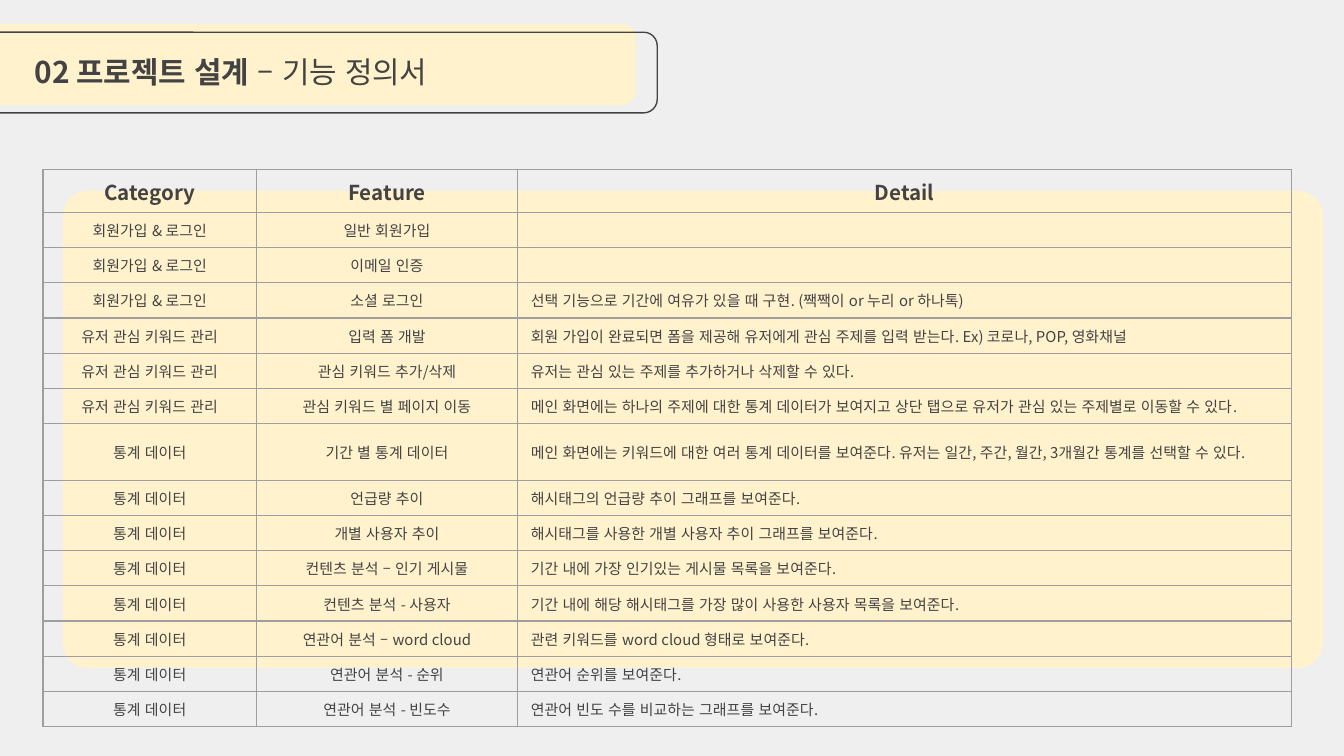
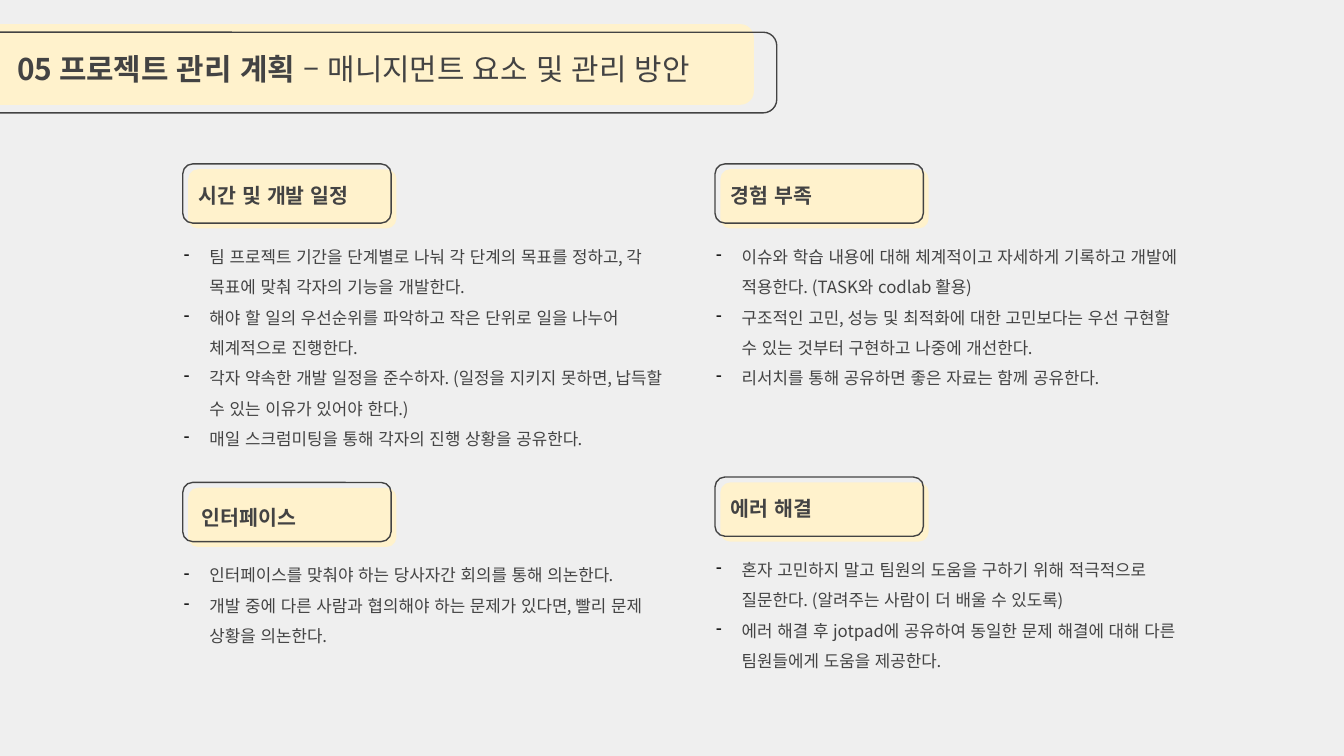
"""Build two project slides: a feature table and a management plan."""
from dataclasses import dataclass

from lxml import etree
from pptx import Presentation
from pptx.dml.color import RGBColor
from pptx.enum.lang import MSO_LANGUAGE_ID
from pptx.enum.shapes import MSO_SHAPE
from pptx.enum.text import MSO_ANCHOR, PP_ALIGN
from pptx.oxml.ns import qn
from pptx.util import Inches, Pt

ROUNDED = MSO_SHAPE.ROUNDED_RECTANGLE
TOP, MIDDLE, BOTTOM = MSO_ANCHOR.TOP, MSO_ANCHOR.MIDDLE, MSO_ANCHOR.BOTTOM
LEFT, CENTER = PP_ALIGN.LEFT, PP_ALIGN.CENTER
KOREAN = MSO_LANGUAGE_ID.KOREAN


@dataclass(frozen=True)
class Theme:
    """Colours, font and type sizes shared by the slides."""
    page: str = "EFEFEF"
    cream: str = "FFF2CC"
    ink: str = "434343"
    grid: str = "9E9E9E"
    bullet: str = "000000"
    font: str = "Noto Sans CJK KR"
    title: float = 16
    heading: float = 11
    body: float = 9
    cell: float = 8
    stroke: float = 0.75


@dataclass(frozen=True)
class Box:
    """A place on the slide, in inches."""
    left: float
    top: float
    width: float
    height: float


@dataclass(frozen=True)
class Title:
    """A slide title and the lengths that differ between slides."""
    strong: str
    light: str
    band_width: float
    frame_left: float
    text: Box


@dataclass(frozen=True)
class Card:
    """A framed heading with a bulleted list below it."""
    left: float
    top: float
    heading: str
    items: tuple[str, ...]
    body_width: float = 3.69
    body_height: float = 1.46
    label_shift: float = 0


THEME = Theme()

FEATURE_TITLE = Title("02 프로젝트 설계 ", "– 기능 정의서", 5.12, -0.23,
                      Box(0.16, 0.35, 5.83, 0.53))
PLAN_TITLE = Title("05 프로젝트 관리 계획", " – 매니지먼트 요소 및 관리 방안", 6, -0.22,
                   Box(0.03, 0.33, 6.3, 0.43))

HEADERS = ("Category", "Feature", "Detail")
COLUMN_WIDTHS = (1.59, 1.94, 5.76)
HEADER_HEIGHT = 0.32
TALL_HEIGHT = 0.42
TALL_FEATURE = "기간 별 통계 데이터"
FEATURES = {
    "회원가입 & 로그인": (
        ("일반 회원가입", ""),
        ("이메일 인증", ""),
        ("소셜 로그인", "선택 기능으로 기간에 여유가 있을 때 구현. (짹짹이 or 누리 or 하나톡)"),
    ),
    "유저 관심 키워드 관리": (
        ("입력 폼 개발",
         "회원 가입이 완료되면 폼을 제공해 유저에게 관심 주제를 입력 받는다. Ex) 코로나, POP, 영화채널"),
        ("관심 키워드 추가/삭제", "유저는 관심 있는 주제를 추가하거나 삭제할 수 있다."),
        ("관심 키워드 별 페이지 이동",
         "메인 화면에는 하나의 주제에 대한 통계 데이터가 보여지고 상단 탭으로 "
         "유저가 관심 있는 주제별로 이동할 수 있다."),
    ),
    "통계 데이터": (
        (TALL_FEATURE,
         "메인 화면에는 키워드에 대한 여러 통계 데이터를 보여준다. "
         "유저는 일간, 주간, 월간, 3개월간 통계를 선택할 수 있다."),
        ("언급량 추이", "해시태그의 언급량 추이 그래프를 보여준다."),
        ("개별 사용자 추이", "해시태그를 사용한 개별 사용자 추이 그래프를 보여준다."),
        ("컨텐츠 분석 – 인기 게시물", "기간 내에 가장 인기있는 게시물 목록을 보여준다."),
        ("컨텐츠 분석 - 사용자", "기간 내에 해당 해시태그를 가장 많이 사용한 사용자 목록을 보여준다."),
        ("연관어 분석 – word cloud", "관련 키워드를 word cloud 형태로 보여준다."),
        ("연관어 분석 - 순위", "연관어 순위를 보여준다."),
        ("연관어 분석 - 빈도수", "연관어 빈도 수를 비교하는 그래프를 보여준다."),
    ),
}

CARDS = (
    Card(1.36, 1.22, "시간 및 개발 일정", (
        "팀 프로젝트 기간을 단계별로 나눠 각 단계의 목표를 정하고, 각 목표에 맞춰 각자의 기능을 개발한다.",
        "해야 할 일의 우선순위를 파악하고 작은 단위로 일을 나누어 체계적으로 진행한다.",
        "각자 약속한 개발 일정을 준수하자. (일정을 지키지 못하면, 납득할 수 있는 이유가 있어야 한다.)",
        "매일 스크럼미팅을 통해 각자의 진행 상황을 공유한다.",
    ), body_width=3.77, body_height=1.88),
    Card(5.32, 1.22, "경험 부족", (
        "이슈와 학습 내용에 대해 체계적이고 자세하게 기록하고 개발에 적용한다. (TASK와 codlab 활용)",
        "구조적인 고민, 성능 및 최적화에 대한 고민보다는 우선 구현할 수 있는 것부터 구현하고 나중에 개선한다.",
        "리서치를 통해 공유하면 좋은 자료는 함께 공유한다.",
    )),
    Card(5.32, 3.55, "에러 해결", (
        "혼자 고민하지 말고 팀원의 도움을 구하기 위해 적극적으로 질문한다. (알려주는 사람이 더 배울 수 있도록)",
        "에러 해결 후 jotpad에 공유하여 동일한 문제 해결에 대해 다른 팀원들에게 도움을 제공한다.",
    )),
    Card(1.36, 3.59, "인터페이스", (
        "인터페이스를 맞춰야 하는 당사자간 회의를 통해 의논한다.",
        "개발 중에 다른 사람과 협의해야 하는 문제가 있다면, 빨리 문제 상황을 의논한다.",
    ), label_shift=0.02),
)


def color(value: str) -> RGBColor:
    """Turn a hex value into a colour."""
    return RGBColor.from_string(value)


def lengths(box: Box) -> tuple[Inches, ...]:
    """Give the four lengths of a box."""
    return tuple(Inches(value) for value in (box.left, box.top, box.width, box.height))


def add_page(deck):
    """Add a blank page with the shared background."""
    page = deck.slides.add_slide(deck.slide_layouts[6])
    page.background.fill.solid()
    page.background.fill.fore_color.rgb = color(THEME.page)
    return page


def add_panel(page, box: Box, filled: bool, rounding: float = 0.167) -> None:
    """Draw a rounded panel, either cream or outlined."""
    panel = page.shapes.add_shape(ROUNDED, *lengths(box))
    panel.adjustments[0] = rounding
    panel.shadow.inherit = False
    if filled:
        panel.fill.solid()
        panel.fill.fore_color.rgb = color(THEME.cream)
        panel.line.fill.background()
    else:
        panel.fill.background()
        panel.line.color.rgb = color(THEME.ink)
        panel.line.width = Pt(THEME.stroke)


def add_span(para, text: str, *, size: float, bold: bool = False) -> None:
    """Add formatted text, or size the paragraph mark when there is none."""
    if not text:
        etree.SubElement(para._p, qn("a:endParaRPr"), sz=str(int(size * 100)))
        return
    span = para.add_run()
    span.text = text
    span.font.name = THEME.font
    span.font.size = Pt(size)
    span.font.bold = bold
    span.font.language_id = KOREAN
    span.font.color.rgb = color(THEME.ink)
    etree.SubElement(span._r.get_or_add_rPr(), qn("a:ea"), typeface=THEME.font)


def add_text_frame(page, box: Box, *, anchor=TOP, inset: float = 0.05):
    """Add a wrapping text box and return its frame."""
    frame = page.shapes.add_textbox(*lengths(box)).text_frame
    frame.word_wrap = True
    frame.vertical_anchor = anchor
    frame.margin_top = frame.margin_bottom = Inches(inset)
    return frame


def add_bullet(para) -> None:
    """Give a paragraph a hanging dash."""
    properties = para._p.get_or_add_pPr()
    indent = Inches(0.19)
    properties.set("marL", str(indent))
    properties.set("indent", str(-indent))
    tint = etree.SubElement(properties, qn("a:buClr"))
    etree.SubElement(tint, qn("a:srgbClr"), val=THEME.bullet)
    etree.SubElement(properties, qn("a:buChar"), char="-")


def add_title(page, title: Title) -> None:
    """Draw the title band, its frame and its text."""
    add_panel(page, Box(-0.39, 0.18, title.band_width, 0.6), filled=True)
    add_panel(page, Box(title.frame_left, 0.24, title.band_width, 0.6), filled=False)
    para = add_text_frame(page, title.text).paragraphs[0]
    add_span(para, title.strong, size=THEME.title, bold=True)
    add_span(para, title.light, size=THEME.title)


def add_borders(cell) -> None:
    """Draw the four borders of a cell."""
    properties = cell._tc.get_or_add_tcPr()
    for side in ("lnL", "lnR", "lnT", "lnB"):
        line = etree.SubElement(properties, qn(f"a:{side}"), w=str(Pt(THEME.stroke)))
        fill = etree.SubElement(line, qn("a:solidFill"))
        etree.SubElement(fill, qn("a:srgbClr"), val=THEME.grid)


def add_feature_table(page, box: Box) -> None:
    """Draw the feature table."""
    rows = [HEADERS] + [(category, feature, detail)
                        for category, entries in FEATURES.items()
                        for feature, detail in entries]
    table = page.shapes.add_table(len(rows), len(HEADERS), *lengths(box)).table
    table.first_row = table.horz_banding = False
    for column, width in zip(table.columns, COLUMN_WIDTHS):
        column.width = Inches(width)
    row_height = (box.height - HEADER_HEIGHT - TALL_HEIGHT) / (len(rows) - 2)
    special_heights = {HEADERS[1]: HEADER_HEIGHT, TALL_FEATURE: TALL_HEIGHT}
    for row_index, row in enumerate(rows):
        is_header = row_index == 0
        table.rows[row_index].height = Inches(special_heights.get(row[1], row_height))
        for column_index, text in enumerate(row):
            cell = table.cell(row_index, column_index)
            add_borders(cell)
            cell.fill.background()
            cell.vertical_anchor = MIDDLE
            para = cell.text_frame.paragraphs[0]
            para.alignment = CENTER if is_header or column_index < 2 else LEFT
            add_span(para, text, size=THEME.heading if is_header else THEME.cell,
                     bold=is_header)


def add_card(page, card: Card) -> None:
    """Draw a card's list, then its band, frame and heading."""
    body = add_text_frame(page, Box(card.left - 0.09, card.top + 0.44,
                                    card.body_width, card.body_height), inset=0.1)
    for index, item in enumerate(card.items):
        para = body.add_paragraph() if index else body.paragraphs[0]
        para.line_spacing = 1.5
        add_bullet(para)
        add_span(para, item, size=THEME.body)
    add_panel(page, Box(card.left + 0.04, card.top + 0.04, 1.55, 0.44), filled=True)
    add_panel(page, Box(card.left, card.top, 1.55, 0.44), filled=False)
    label = add_text_frame(page, Box(card.left + 0.02 + card.label_shift,
                                     card.top - 0.21 + card.label_shift, 1.82, 0.63),
                           anchor=BOTTOM, inset=0.1)
    add_span(label.paragraphs[0], card.heading, size=THEME.heading, bold=True)


def build_feature_page(deck) -> None:
    """Build the feature definition page."""
    page = add_page(deck)
    add_panel(page, Box(0.47, 1.42, 9.37, 3.55), filled=True, rounding=0.051)
    add_title(page, FEATURE_TITLE)
    add_feature_table(page, Box(0.32, 1.26, 9.29, 4.15))


def build_plan_page(deck) -> None:
    """Build the management plan page."""
    page = add_page(deck)
    add_title(page, PLAN_TITLE)
    for card in CARDS:
        add_card(page, card)


def main() -> None:
    """Build and save the deck."""
    deck = Presentation()
    deck.slide_width = Inches(10)
    deck.slide_height = deck.slide_width * 9 // 16
    build_feature_page(deck)
    build_plan_page(deck)
    deck.save("out.pptx")


if __name__ == "__main__":
    main()
